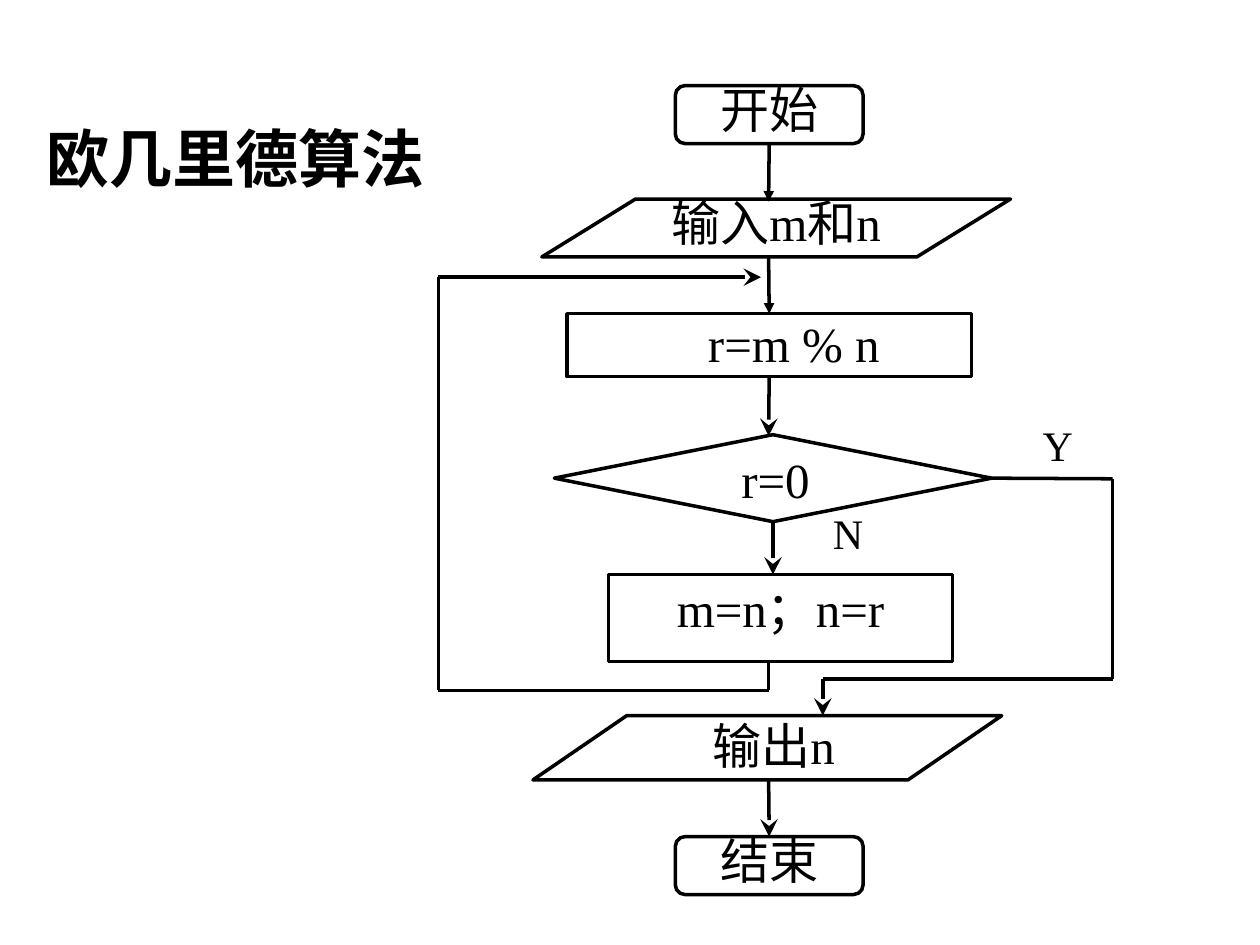
from dataclasses import dataclass
from lxml.etree import SubElement
from pptx import Presentation
from pptx.dml.color import RGBColor
from pptx.enum.shapes import MSO_CONNECTOR, MSO_SHAPE
from pptx.enum.text import MSO_ANCHOR, PP_ALIGN
from pptx.oxml.ns import qn
from pptx.util import Inches, Pt


@dataclass(frozen=True)
class Theme:
    ink: RGBColor = RGBColor(0, 0, 0)
    paper: RGBColor = RGBColor(255, 255, 255)
    title_font: str = "Arial"
    font: str = "Times New Roman"
    title_size: int = 36
    node_size: int = 28
    label_size: int = 24
    stroke: int = 2


@dataclass(frozen=True)
class Grid:
    left: float
    top: float
    unit: float = 0.1

    def point(self, col, row):
        return Inches(self.left + col * self.unit), Inches(self.top + row * self.unit)

    def size(self, cols, rows):
        return Inches(cols * self.unit), Inches(rows * self.unit)


THEME = Theme()
TERMINAL = MSO_SHAPE.FLOWCHART_ALTERNATE_PROCESS
DATA = MSO_SHAPE.FLOWCHART_DATA
PROCESS = MSO_SHAPE.FLOWCHART_PROCESS
DECISION = MSO_SHAPE.FLOWCHART_DECISION
TOP, BOTTOM, RIGHT = 0, 2, 3

NODES = {
    "start": (TERMINAL, 26.25, 0, 14.9, 4.6, "开始", 0.85, (0.06, 0, 0.06, 0)),
    "input": (DATA, 26.8, 9, 37.2, 4.6, "输入m和n", 0.9, (0.02, 0, 0.02, 0)),
    "remainder": (PROCESS, 26.25, 18.1, 32.1, 5, "r=m % n", 1, (0.41, 0, 0.02, 0)),
    "test": (DECISION, 26.55, 27.7, 34.7, 6.9, "", 1, (0, 0, 0, 0)),
    "swap": (PROCESS, 27.15, 38.8, 27.3, 6.9, "m=n；n=r", 0.8, (0.1, 0.12, 0.1, 0)),
    "output": (DATA, 26.1, 50, 37.2, 5.1, "输出n", 1, (0.16, 0, 0.06, 0)),
    "end": (TERMINAL, 26.25, 59.6, 14.9, 4.6, "结束", 0.85, (0.06, 0, 0.06, 0)),
}

LABELS = [
    ("r=0", 23.4, 28.9, 6.7, 3.7, THEME.node_size),
    ("N", 30.9, 33.5, 3.2, 3.8, THEME.label_size),
    ("Y", 46.5, 26.5, 5.3, 3.8, THEME.label_size),
]

AXIS, EXIT, OUTER = 26.2, 30.5, 53.5
LOOP_TOP, TEST_ROW, EXIT_ROW, LOOP_BOTTOM = 15.2, 31.2, 47.1, 48

FLOWS = [
    ((AXIS, 4.6), (AXIS, 9.2), "triangle", ("start", BOTTOM), None),
    ((AXIS, 13.6), (AXIS, 18.2), "triangle", None, ("remainder", TOP)),
    ((AXIS, 23.2), (AXIS, 27.8), "stealth", ("remainder", BOTTOM), None),
    ((26.55, 34.5), (26.55, 38.8), "stealth", ("test", BOTTOM), None),
    ((AXIS, 55), (AXIS, 59.6), "stealth", None, ("end", TOP)),
    ((43.8, TEST_ROW), (OUTER, TEST_ROW), None, ("test", RIGHT), None),
    ((OUTER, TEST_ROW), (OUTER, EXIT_ROW), None, None, None),
    ((OUTER, EXIT_ROW), (EXIT, EXIT_ROW), None, None, None),
    ((EXIT, EXIT_ROW), (EXIT, 50), "stealth", None, None),
    ((AXIS, 45.6), (AXIS, LOOP_BOTTOM), None, None, None),
    ((AXIS, LOOP_BOTTOM), (0, LOOP_BOTTOM), None, None, None),
    ((0, LOOP_BOTTOM), (0, LOOP_TOP), None, None, None),
    ((0, LOOP_TOP), (25.6, LOOP_TOP), "stealth", None, None),
]


def write(sp, text, size, font=THEME.font, bold=False, align=PP_ALIGN.CENTER,
          spacing=1, insets=(0, 0, 0, 0)):
    tf = sp.text_frame
    tf.word_wrap = True
    tf.vertical_anchor = MSO_ANCHOR.TOP
    tf.margin_left, tf.margin_top, tf.margin_right, tf.margin_bottom = map(Inches, insets)
    tf.text = text
    p = tf.paragraphs[0]
    p.alignment = align
    p.line_spacing = float(spacing)
    for r in p.runs:
        r.font.name = font
        r.font.size = Pt(size)
        r.font.bold = bold
        r.font.color.rgb = THEME.ink


def add_node(s, grid, kind, center, row, cols, rows, text, spacing, insets):
    sp = s.shapes.add_shape(kind, *grid.point(center - cols / 2, row), *grid.size(cols, rows))
    sp.shadow.inherit = False
    sp.fill.background()
    sp.line.color.rgb = THEME.ink
    sp.line.width = Pt(THEME.stroke)
    if text:
        write(sp, text, THEME.node_size, spacing=spacing, insets=insets)
    return sp


def add_flow(s, grid, nodes, begin, end, head, source, target):
    line = s.shapes.add_connector(MSO_CONNECTOR.STRAIGHT, *grid.point(*begin), *grid.point(*end))
    if source:
        line.begin_connect(nodes[source[0]], source[1])
    if target:
        line.end_connect(nodes[target[0]], target[1])
    line.line.color.rgb = THEME.ink
    line.line.width = Pt(THEME.stroke)
    if head:
        scale = "lg" if head == "stealth" else "med"
        SubElement(line.line._get_or_add_ln(), qn("a:tailEnd"), type=head, w=scale, len=scale)
    SubElement(line._element.spPr, qn("a:effectLst"))


def add_flowchart(s, grid):
    nodes = {name: add_node(s, grid, *node) for name, node in NODES.items()}
    for flow in FLOWS:
        add_flow(s, grid, nodes, *flow)
    for text, col, row, cols, rows, size in LABELS:
        write(s.shapes.add_textbox(*grid.point(col, row), *grid.size(cols, rows)), text, size)


def add_title(s, grid):
    sp = s.shapes.add_textbox(*grid.point(0, 0), *grid.size(52.8, 7))
    write(sp, "欧几里德算法", THEME.title_size, THEME.title_font, True, PP_ALIGN.LEFT,
          insets=(0.1, 0.05, 0.1, 0.05))


def main():
    prs = Presentation()
    prs.slide_width, prs.slide_height = Inches(10), Inches(7.5)
    s = prs.slides.add_slide(prs.slide_layouts[6])
    s.background.fill.solid()
    s.background.fill.fore_color.rgb = THEME.paper
    add_flowchart(s, Grid(3.48, 0.68))
    add_title(s, Grid(0.27, 0.9))
    prs.save("out.pptx")


if __name__ == "__main__":
    main()
